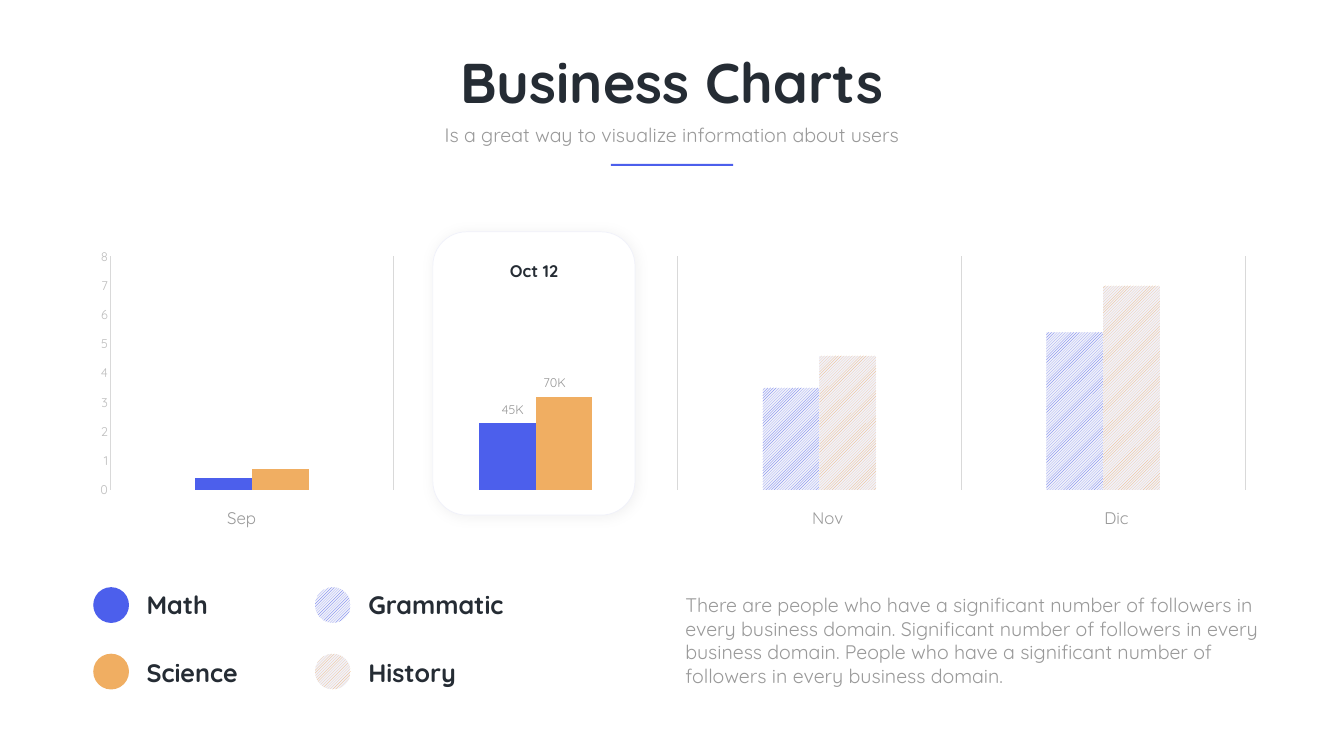
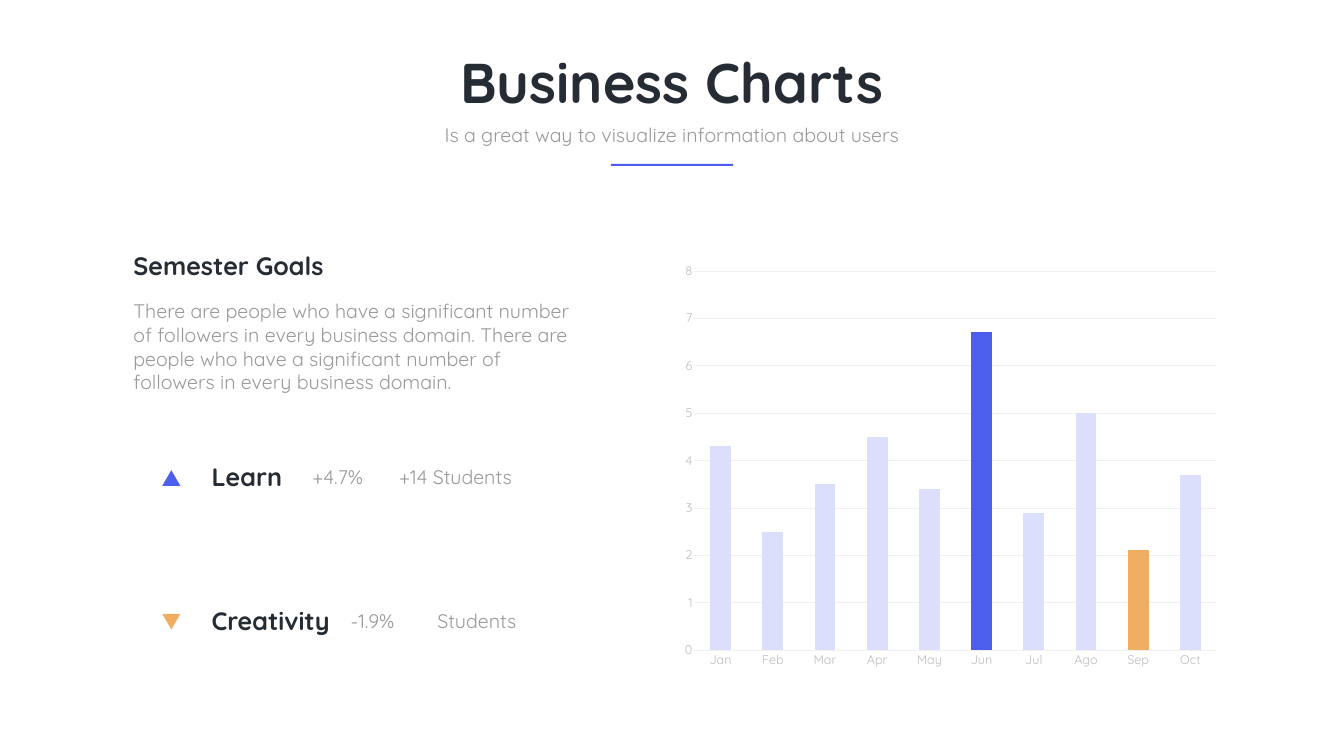
from lxml.etree import SubElement
from pptx import Presentation
from pptx.chart.data import CategoryChartData
from pptx.dml.color import RGBColor
from pptx.enum.chart import XL_CHART_TYPE, XL_TICK_MARK
from pptx.enum.dml import MSO_PATTERN
from pptx.enum.shapes import MSO_SHAPE
from pptx.enum.text import MSO_ANCHOR, MSO_AUTO_SIZE, PP_ALIGN
from pptx.oxml import parse_xml
from pptx.oxml.ns import nsdecls, qn
from pptx.util import Pt

SCALE = 9144
FONT = "Quicksand"
COLORS = {
    "ink": "252C34",
    "gray": "999999",
    "tick": "BDBDBD",
    "blue": "4C5FEC",
    "gold": "F0AE62",
    "pale": "DBDFFB",
    "mist": "F0F1FA",
    "grid": "D9D9D9",
    "rule": "F0F0F0",
    "white": "FFFFFF",
}


def px(*nums):
    return [round(num * SCALE) for num in nums]


def rgb(name):
    return RGBColor.from_string(COLORS[name])


def style(font, size, color, bold=False):
    font.name = FONT
    font.size = Pt(size)
    font.bold = bold
    font.color.rgb = rgb(color)


def paint(fill, color, hatch=False):
    if hatch:
        fill.patterned()
        fill.pattern = MSO_PATTERN.WIDE_UPWARD_DIAGONAL
        fill.fore_color.rgb = rgb(color)
        fill.back_color.rgb = rgb("mist")
    else:
        fill.solid()
        fill.fore_color.rgb = rgb(color)


def write(frame, words, size, color, bold=False, align=PP_ALIGN.LEFT):
    frame.word_wrap = True
    frame.auto_size = MSO_AUTO_SIZE.NONE
    frame.vertical_anchor = MSO_ANCHOR.TOP
    frame.text = words
    para = frame.paragraphs[0]
    para.alignment = align
    style(para.font, size, color, bold)


def add_text(slide, box, words, size, color="gray", bold=False, align=PP_ALIGN.LEFT):
    frame = slide.shapes.add_textbox(*px(*box)).text_frame
    write(frame, words, size, color, bold, align)


def add_head(slide, box, words):
    add_text(slide, box, words, 36, "ink", True)


def add_mid(slide, box, words, size, color="gray", bold=False):
    add_text(slide, box, words, size, color, bold, PP_ALIGN.CENTER)


def add_form(slide, kind, box, color, hatch=False):
    form = slide.shapes.add_shape(kind, *px(*box))
    form.shadow.inherit = False
    form.line.fill.background()
    paint(form.fill, color, hatch)
    return form


def add_card(slide, box):
    card = add_form(slide, MSO_SHAPE.ROUNDED_RECTANGLE, box, "white")
    card.line.color.rgb = rgb("mist")
    card.line.width = Pt(1)
    effects = card._element.spPr.find(qn("a:effectLst"))
    effects.append(parse_xml(
        f'<a:outerShdw {nsdecls("a")} blurRad="{Pt(20)}" dist="{Pt(3)}" dir="2700000" '
        'algn="tl" rotWithShape="0"><a:srgbClr val="000000"><a:alpha val="5000"/>'
        '</a:srgbClr></a:outerShdw>'))


def add_page(deck):
    slide = deck.slides.add_slide(deck.slide_layouts[5])
    title = slide.shapes.title
    title.left, title.top, title.width, title.height = px(688, 90, 1291, 145)
    write(title.text_frame, "Business Charts", 80, "ink", True, PP_ALIGN.CENTER)
    add_mid(slide, (855, 238, 956, 57),
            "Is a great way to visualize information about users", 28)
    add_form(slide, MSO_SHAPE.RECTANGLE, (1212, 325, 243, 4), "blue")
    return slide


def place_plot(chart, area):
    space = chart.element.find(qn("c:chart"))
    plot = space.find(qn("c:plotArea"))
    for old in plot.findall(qn("c:layout")):
        plot.remove(old)
    layout = parse_xml(f'<c:layout {nsdecls("c")}><c:manualLayout/></c:layout>')
    pairs = [("layoutTarget", "inner"), ("xMode", "edge"), ("yMode", "edge")]
    for tag, val in pairs + list(zip("xywh", area)):
        SubElement(layout[0], qn(f"c:{tag}")).set("val", str(val))
    plot.insert(0, layout)
    space.addnext(parse_xml(
        f'<c:spPr {nsdecls("c", "a")}><a:noFill/><a:ln><a:noFill/></a:ln></c:spPr>'))


def draw_grid(axis, color):
    axis.has_major_gridlines = True
    line = axis.major_gridlines.format.line
    line.color.rgb = rgb(color)
    line.width = Pt(0.75)


def set_ticks(axis):
    axis.major_tick_mark = axis.minor_tick_mark = XL_TICK_MARK.NONE
    style(axis.tick_labels.font, 18, "tick")


def add_bars(slide, kind, box, area, names, rows, gap, overlap):
    data = CategoryChartData()
    data.categories = names
    for num, (vals, _) in enumerate(rows, 1):
        data.add_series(f"Series {num}", vals)
    chart = slide.shapes.add_chart(kind, *px(*box), data).chart
    chart.has_legend = chart.has_title = False
    style(chart.font, 18, "gray")
    place_plot(chart, area)
    plot = chart.plots[0]
    plot.vary_by_categories = False
    plot.gap_width = gap
    plot.overlap = overlap
    for line, (_, color) in zip(plot.series, rows):
        paint(line.format.fill, color)
    axis = chart.value_axis
    axis.minimum_scale, axis.maximum_scale, axis.major_unit = 0, 8, 1
    axis.has_major_gridlines = False
    axis.format.line.fill.background()
    set_ticks(axis)
    return chart


def add_months(deck):
    slide = add_page(deck)
    add_card(slide, (859, 460, 401, 562))
    rows = [((0.4, 2.3, 3.5, 5.4), "blue"), ((0.7, 3.2, 4.6, 7), "gold")]
    chart = add_bars(slide, XL_CHART_TYPE.COLUMN_CLUSTERED, (147, 483, 2371, 515),
                     (0.03, 0.05, 0.95, 0.9), "1234", rows, 300, 0)
    chart.category_axis.visible = False
    draw_grid(chart.category_axis, "grid")
    for line, (_, color) in zip(chart.plots[0].series, rows):
        for spot in (2, 3):
            paint(line.points[spot].format.fill, color, True)

    add_mid(slide, (926, 512, 267, 46), "Oct 12", 24, "ink", True)
    for left, top, words in ((974, 793, "45K"), (1057, 738, "70K")):
        add_mid(slide, (left, top, 87, 37), words, 18)
    for left, words in ((346, "Sep"), (1509, "Nov"), (2082, "Dic")):
        add_mid(slide, (left, 1002, 267, 46), words, 24)

    keys = [("Math", "Science"), ("Grammatic", "History")]
    for col, pair in enumerate(keys):
        for row, (words, color) in enumerate(zip(pair, ("blue", "gold"))):
            left, top = 185 + 440 * col, 1165 + 132 * row
            add_form(slide, MSO_SHAPE.OVAL, (left, top, 71, 71), color, col == 1)
            add_head(slide, (left + 96, top + 2 * row, 424, 71), words)
    add_text(slide, (1350, 1172, 1192, 199),
             "There are people who have a significant number of followers in every "
             "business domain. Significant number of followers in every business domain. "
             "People who have a significant number of followers in every business domain.",
             28)


def add_goal(slide, top, color, turn, name, rate, count):
    mark = add_form(slide, MSO_SHAPE.ISOSCELES_TRIANGLE, (322, top + 22, 36, 31), color)
    mark.rotation = turn
    add_head(slide, (410, top, 277, 71), name)
    for left, wide, words in ((rate[0], 155, rate[1]), (count[0], 278, count[1])):
        add_text(slide, (left, top + 7, wide, 57), words, 28)


def add_goals(deck):
    slide = add_page(deck)
    names = "Jan Feb Mar Apr May Jun Jul Ago Sep Oct".split()
    vals = (4.3, 2.5, 3.5, 4.5, 3.4, 6.7, 2.9, 5, 2.1, 3.7)
    chart = add_bars(slide, XL_CHART_TYPE.COLUMN_STACKED, (1334, 504, 1102, 836),
                     (0.04, 0.04, 0.94, 0.9), names, [(vals, "pale")], 150, 100)
    draw_grid(chart.value_axis, "rule")
    base = chart.category_axis
    set_ticks(base)
    base.format.line.color.rgb = rgb("rule")
    base.format.line.width = Pt(0.75)
    bars = chart.plots[0].series[0].points
    for month, color in (("Jun", "blue"), ("Sep", "gold")):
        paint(bars[names.index(month)].format.fill, color)

    add_head(slide, (255, 491, 600, 71), "Semester Goals")
    add_text(slide, (255, 589, 910, 199),
             "There are people who have a significant number of followers in every "
             "business domain. There are people who have a significant number of "
             "followers in every business domain.", 28)
    add_goal(slide, 911, "blue", 0, "Learn", (610, "+4.7%"), (782, "+14 Students"))
    add_goal(slide, 1196, "gold", 180, "Creativity", (686, "-1.9%"), (858, "Students"))


def main():
    deck = Presentation()
    deck.slide_width, deck.slide_height = px(2667, 1500)
    add_months(deck)
    add_goals(deck)
    deck.save("out.pptx")


if __name__ == "__main__":
    main()
